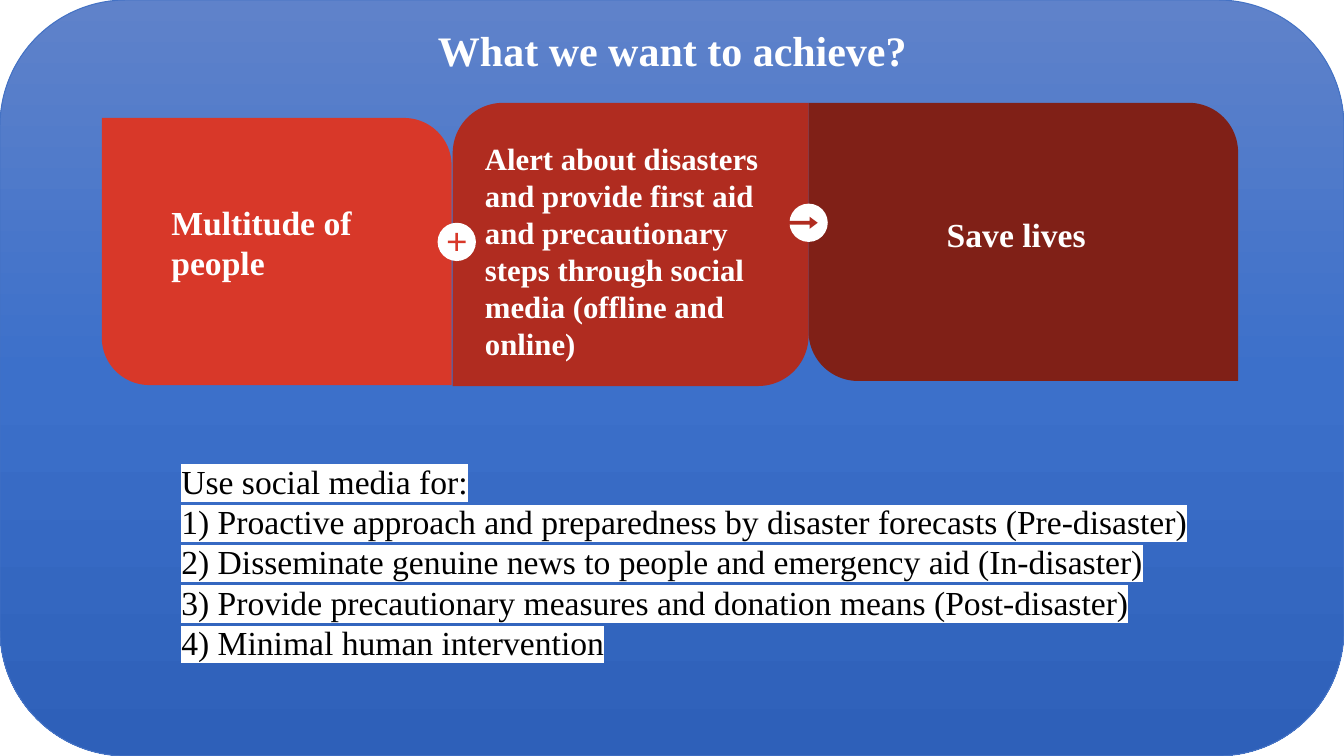
from copy import deepcopy
from dataclasses import dataclass

from lxml.etree import SubElement
from pptx import Presentation
from pptx.dml.color import RGBColor
from pptx.enum.shapes import MSO_SHAPE
from pptx.enum.text import MSO_ANCHOR, MSO_AUTO_SIZE, PP_ALIGN
from pptx.oxml.ns import qn
from pptx.util import Emu, Pt

EMU_PER_PX = 9144
WIDTH, HEIGHT = 1333, 750


def px(length):
    return Emu(length * EMU_PER_PX)


@dataclass(frozen=True)
class Theme:
    font: str = "Times New Roman"
    white: str = "FFFFFF"
    black: str = "000000"
    border: str = "4472C4"
    light_red: str = "D83829"
    red: str = "B02C20"
    dark_red: str = "802017"
    backdrop: tuple = ("5F82CA", "3C70CA", "2E60B9")
    title_size: int = 30
    body_size: int = 24
    compact_size: int = 22


def write_text(frame, text, *, font, size, color, bold=False, align=PP_ALIGN.LEFT,
               indent=0, highlight=None):
    for index, line in enumerate(text.split("\n")):
        para = frame.paragraphs[0] if index == 0 else frame.add_paragraph()
        para.alignment = align
        if indent:
            para._p.get_or_add_pPr().set("indent", str(px(indent)))
        span = para.add_run()
        span.text = line
        span.font.name = font
        span.font.size = Pt(size)
        span.font.bold = bold
        span.font.color.rgb = RGBColor.from_string(color)
        if highlight:
            properties = span.font._element
            marker = SubElement(properties, qn("a:highlight"))
            SubElement(marker, qn("a:srgbClr"), val=highlight)
            properties.find(qn("a:solidFill")).addnext(marker)


class SlideBuilder:
    def __init__(self, page, theme):
        self.page = page
        self.theme = theme

    def backdrop(self):
        box = self.shape(MSO_SHAPE.ROUNDED_RECTANGLE, (0, 0, WIDTH, HEIGHT),
                         self.theme.white, (0.167,))
        box.fill.gradient()
        box.fill.gradient_angle = 270
        stop_list = box._element.spPr.find(qn("a:gradFill")).find(qn("a:gsLst"))
        stop_list.insert(1, deepcopy(stop_list[0]))
        for index, (stop, color) in enumerate(zip(box.fill.gradient_stops, self.theme.backdrop)):
            stop.position = index / 2
            stop.color.rgb = RGBColor.from_string(color)
        box.line.color.rgb = RGBColor.from_string(self.theme.border)
        box.line.width = Pt(0.75)
        self.page.shapes._spTree.insert(2, box._element)

    def title(self, text, bounds):
        box = self.page.shapes.title
        box.left, box.top, box.width, box.height = map(px, bounds)
        box.text_frame.vertical_anchor = MSO_ANCHOR.MIDDLE
        box.text_frame.auto_size = MSO_AUTO_SIZE.NONE
        write_text(box.text_frame, text, font=self.theme.font, size=self.theme.title_size,
                   color=self.theme.white, bold=True, align=PP_ALIGN.CENTER)

    def shape(self, kind, bounds, color, adjustments=()):
        box = self.page.shapes.add_shape(kind, *map(px, bounds))
        box.shadow.inherit = False
        box.fill.solid()
        box.fill.fore_color.rgb = RGBColor.from_string(color)
        box.line.fill.background()
        for index, value in enumerate(adjustments):
            box.adjustments[index] = value
        return box

    def text(self, text, bounds, margin, **text_format):
        frame = self.page.shapes.add_textbox(*map(px, bounds)).text_frame
        frame.word_wrap = True
        frame.margin_left = frame.margin_top = px(margin)
        frame.margin_right = frame.margin_bottom = px(margin)
        write_text(frame, text, font=self.theme.font, **text_format)

    def card(self, text, bounds, text_bounds, color, corners, size, **text_format):
        self.shape(MSO_SHAPE.ROUND_2_DIAG_RECTANGLE, bounds, color, corners)
        self.text(text, text_bounds, 13, size=size, color=self.theme.white, bold=True,
                  **text_format)

    def badge(self, left, top, symbol, symbol_bounds, color, adjustments):
        self.shape(MSO_SHAPE.OVAL, (left, top, 38, 38), self.theme.white)
        self.shape(symbol, symbol_bounds, color, adjustments)


def main():
    deck = Presentation()
    deck.slide_width, deck.slide_height = px(WIDTH), px(HEIGHT)
    theme = Theme()
    builder = SlideBuilder(deck.slides.add_slide(deck.slide_layouts[5]), theme)
    falling, rising = (0.178, 0), (0, 0.178)

    builder.backdrop()
    builder.title("What we want to achieve?", (92, 14, 1150, 71))
    builder.card("Alert about disasters and provide first aid and precautionary steps "
                 "through social media (offline and online)",
                 (449, 102, 353, 281), (468, 126, 315, 281),
                 theme.red, falling, theme.compact_size)
    builder.card("Multitude of people", (101, 117, 347, 265), (157, 187, 259, 106),
                 theme.light_red, rising, theme.body_size)
    builder.card("Save lives", (802, 102, 426, 276), (876, 199, 278, 81),
                 theme.dark_red, rising, theme.body_size,
                 align=PP_ALIGN.JUSTIFY, indent=50)
    builder.badge(783, 202, MSO_SHAPE.RIGHT_ARROW, (782, 215, 29, 12), theme.red, (0.32, 0.67))
    builder.badge(434, 221, MSO_SHAPE.MATH_PLUS, (441, 228, 24, 24), theme.light_red, (0.1,))
    builder.text("Use social media for:\n"
                 "1) Proactive approach and preparedness by disaster forecasts (Pre-disaster)\n"
                 "2) Disseminate genuine news to people and emergency aid (In-disaster)\n"
                 "3) Provide precautionary measures and donation means (Post-disaster)\n"
                 "4) Minimal human intervention",
                 (170, 447, 1044, 233), 10, size=theme.body_size, color=theme.black,
                 highlight=theme.white)
    deck.save("out.pptx")


if __name__ == "__main__":
    main()
